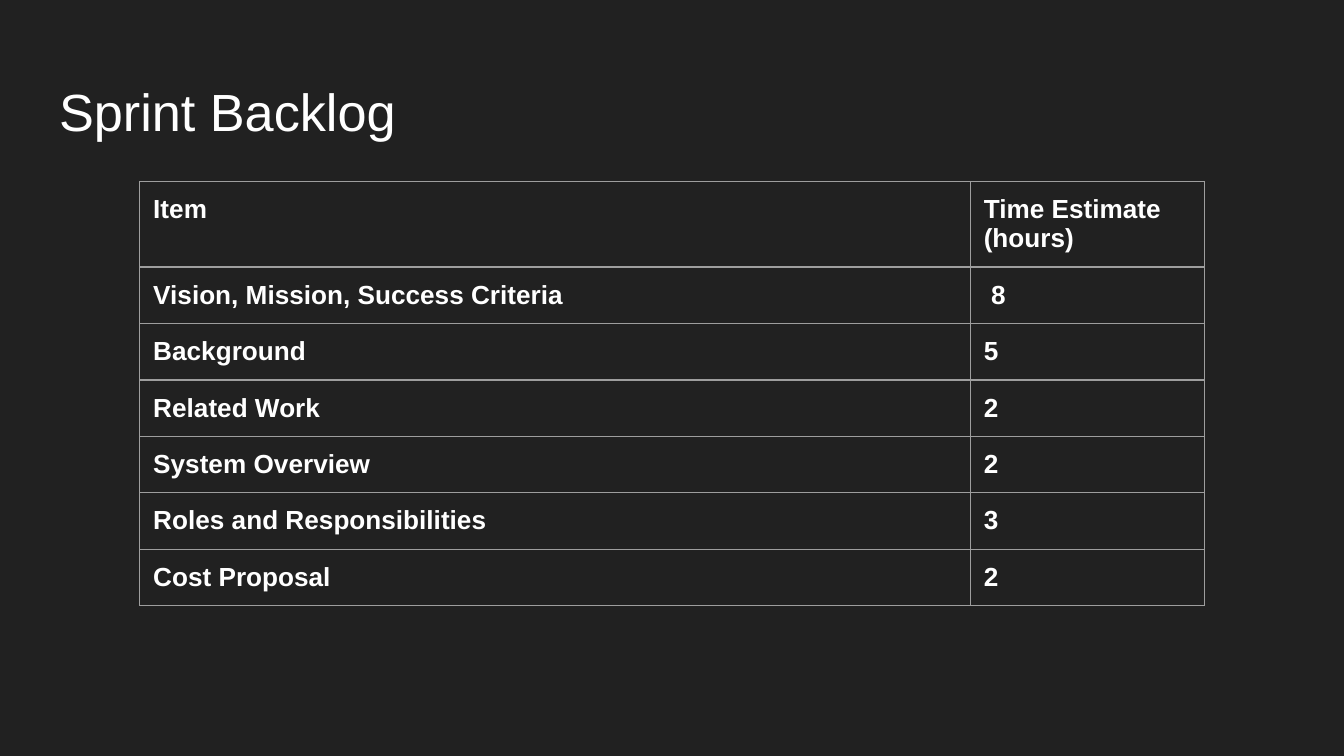
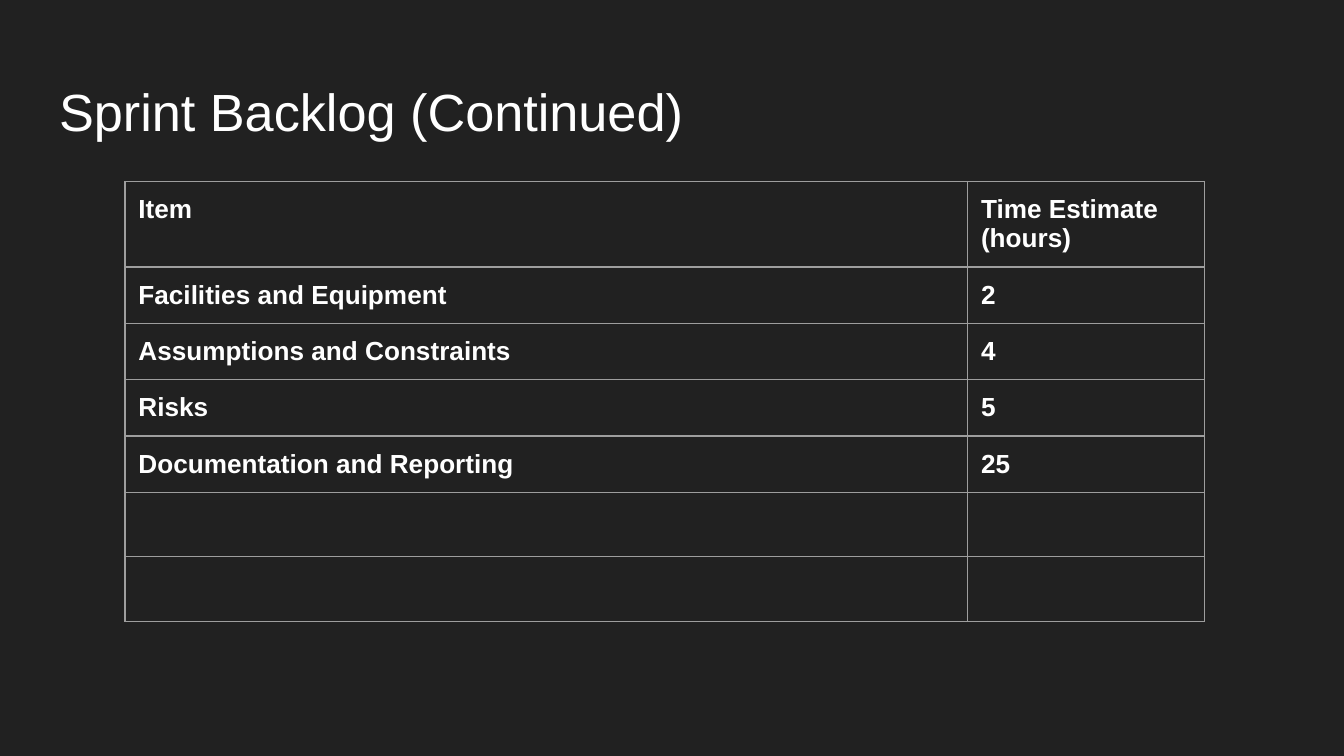
from lxml.etree import SubElement
from pptx import Presentation
from pptx.dml.color import RGBColor
from pptx.enum.text import MSO_ANCHOR, MSO_AUTO_SIZE, PP_ALIGN
from pptx.oxml.ns import qn
from pptx.util import Inches, Pt

BACKGROUND = "212121"
TEXT = "FFFFFF"
BORDER = "9E9E9E"
FONT = "Arial"
INSET = Inches(0.1)
HEADINGS = ("Item", "Time Estimate (hours)")
FIRST_ITEMS = [
    ("Vision, Mission, Success Criteria", " 8"),
    ("Background", "5"),
    ("Related Work", "2"),
    ("System Overview", "2"),
    ("Roles and Responsibilities", "3"),
    ("Cost Proposal", "2"),
]
LATER_ITEMS = [
    ("Facilities and Equipment", "2"),
    ("Assumptions and Constraints", "4"),
    ("Risks", "5"),
    ("Documentation and Reporting", "25"),
    ("", ""),
    ("", ""),
]


def color(value):
    return RGBColor.from_string(value)


def write(frame, text, size=14, bold=False, fill=TEXT, font=FONT):
    paragraph = frame.paragraphs[0]
    paragraph.alignment = PP_ALIGN.LEFT
    run = paragraph.add_run()
    run.text = text
    run.font.name = font
    run.font.size = Pt(size)
    run.font.bold = bold
    run.font.color.rgb = color(fill)


def leave_empty(frame):
    ending = SubElement(frame.paragraphs[0]._p, qn("a:endParaRPr"), sz="1800")
    SubElement(ending, qn("a:latin"), typeface=FONT)


def inset(holder):
    holder.margin_left = holder.margin_right = INSET
    holder.margin_top = holder.margin_bottom = INSET


class Deck:
    def __init__(self):
        self.presentation = Presentation()
        self.presentation.slide_width = Inches(10)
        self.presentation.slide_height = Inches(10) * 9 // 16
        backdrop = self.presentation.slide_master.background.fill
        backdrop.solid()
        backdrop.fore_color.rgb = color(BACKGROUND)
        self.slide = None

    def add_slide(self, heading):
        layout = self.presentation.slide_layouts.get_by_name("Title Only")
        self.slide = self.presentation.slides.add_slide(layout)
        self.title(heading)

    def title(self, text):
        heading = self.slide.shapes.title
        heading.left, heading.top = Inches(0.34), Inches(0.49)
        heading.width, heading.height = Inches(9.32), Inches(0.63)
        frame = heading.text_frame
        inset(frame)
        frame.word_wrap = True
        frame.auto_size = MSO_AUTO_SIZE.NONE
        frame.vertical_anchor = MSO_ANCHOR.TOP
        write(frame, text, size=28)

    def borders(self, cell):
        properties = cell._tc.get_or_add_tcPr()
        for side in ("lnL", "lnR", "lnT", "lnB"):
            line = SubElement(properties, qn(f"a:{side}"), w=str(Pt(0.75)))
            fill = SubElement(line, qn("a:solidFill"))
            SubElement(fill, qn("a:srgbClr"), val=BORDER)

    def backlog(self, items, left, widths, header_height, item_height):
        entries = [HEADINGS, *items]
        heights = [header_height] + [item_height] * len(items)
        table = self.slide.shapes.add_table(
            len(entries), len(widths), Inches(left), Inches(1.35),
            Inches(sum(widths)), Inches(sum(heights))).table
        table.first_row = table.horz_banding = False
        for column, width in zip(table.columns, widths):
            column.width = Inches(width)
        for row, height, entry in zip(table.rows, heights, entries):
            row.height = Inches(height)
            for cell, text in zip(row.cells, entry):
                inset(cell)
                self.borders(cell)
                cell.fill.background()
                if text:
                    write(cell.text_frame, text, bold=True)
                else:
                    leave_empty(cell.text_frame)


def main():
    deck = Deck()
    deck.add_slide("Sprint Backlog")
    deck.backlog(FIRST_ITEMS, left=1.04, widths=(6.18, 1.74),
                 header_height=0.42, item_height=0.42)
    deck.add_slide("Sprint Backlog (Continued)")
    deck.backlog(LATER_ITEMS, left=0.93, widths=(6.27, 1.76),
                 header_height=0.51, item_height=0.33)
    deck.presentation.save("out.pptx")


if __name__ == "__main__":
    main()
